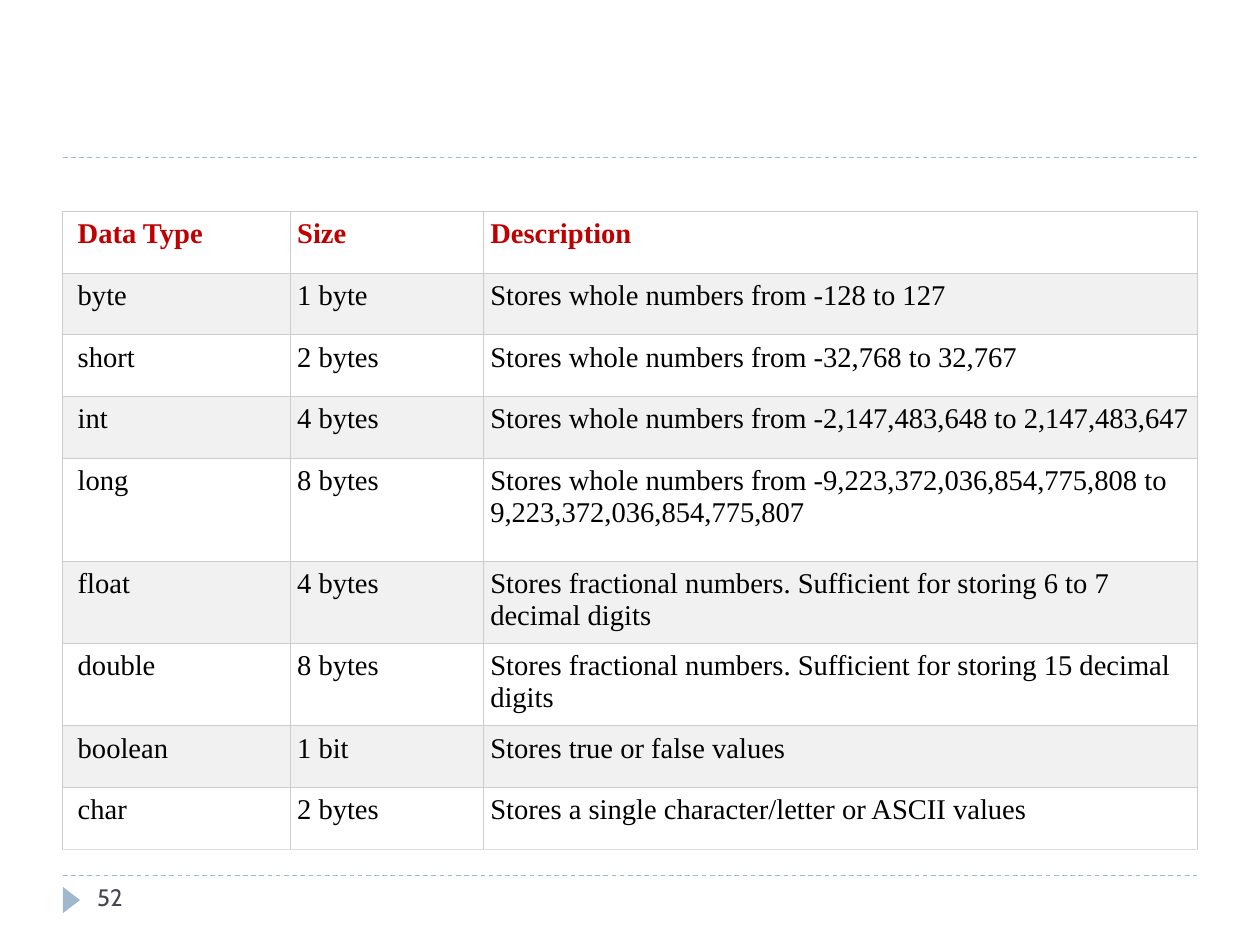
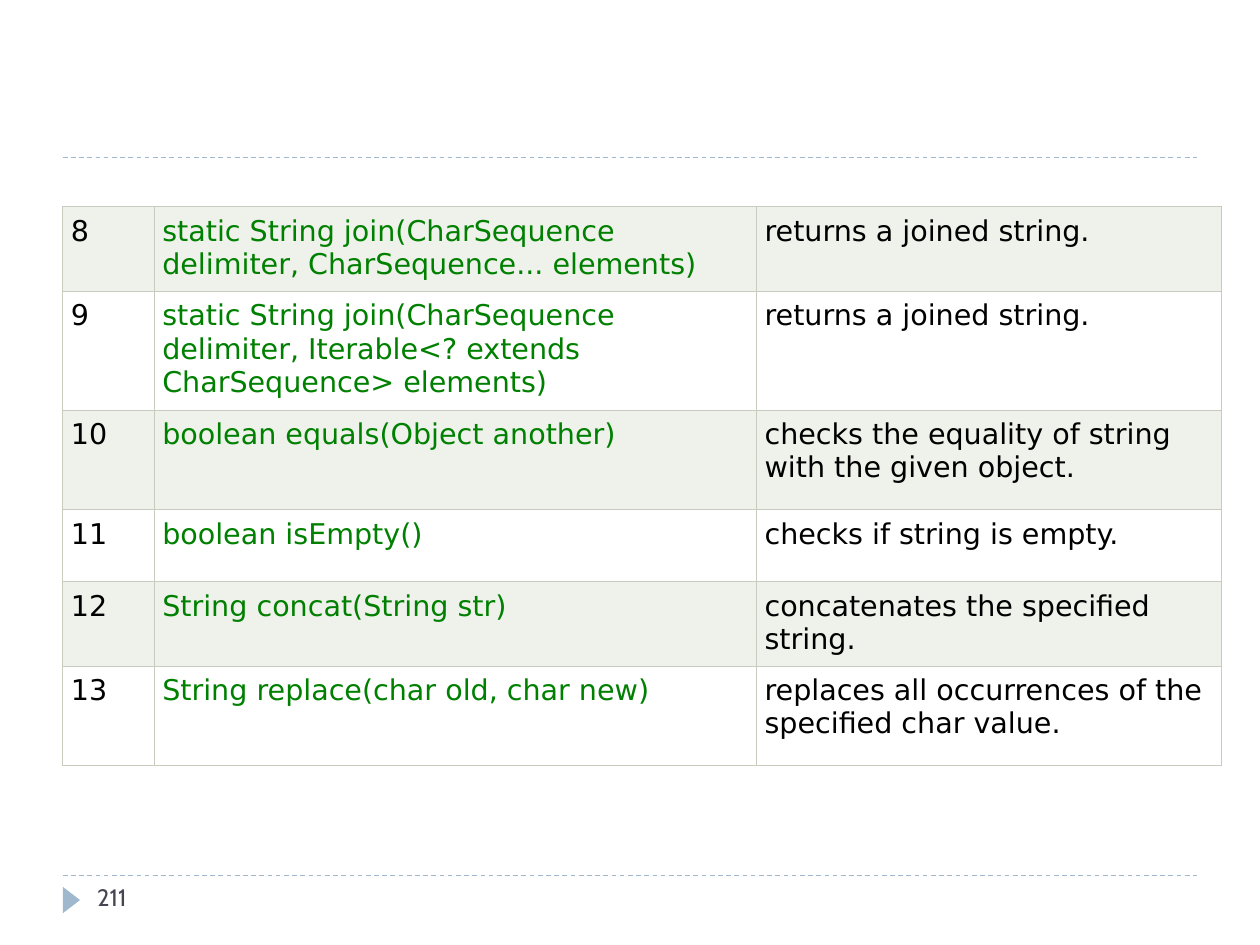
from copy import deepcopy

from lxml import etree
from pptx import Presentation
from pptx.dml.color import RGBColor
from pptx.enum.dml import MSO_LINE
from pptx.enum.shapes import MSO_CONNECTOR, MSO_SHAPE
from pptx.oxml.ns import qn
from pptx.util import Inches, Pt

DASH = MSO_LINE.DASH
STRAIGHT = MSO_CONNECTOR.STRAIGHT
TRIANGLE = MSO_SHAPE.ISOSCELES_TRIANGLE

WHITE = RGBColor(0xFF, 0xFF, 0xFF)
BLACK = RGBColor(0, 0, 0)
BLUE = RGBColor(0x9F, 0xB8, 0xCD)
SLATE = RGBColor(0x46, 0x46, 0x53)
RED = RGBColor(0xC0, 0, 0)
GREEN = RGBColor(0, 0x80, 0)
GREY = RGBColor(0xF1, 0xF1, 0xF1)
SAGE = RGBColor(0xEF, 0xF1, 0xEB)
RULE = RGBColor(0xCC, 0xCC, 0xCC)
PALE = RGBColor(0xDD, 0xDD, 0xDD)
MOSS = RGBColor(0xC7, 0xCC, 0xBE)

# The page is 28 by 21 centimetres.
WIDE = Inches(28 / 2.54)
HIGH = Inches(21 / 2.54)
LEFT, RIGHT = 0.55, 10.47
TOP_RULE, FOOT_RULE = 1.38, 7.66

TYPES = [
    ("Data Type", "Size", "Description"),
    ("byte", "1 byte", "Stores whole numbers from -128 to 127"),
    ("short", "2 bytes", "Stores whole numbers from -32,768 to 32,767"),
    ("int", "4 bytes",
     "Stores whole numbers from -2,147,483,648 to 2,147,483,647"),
    ("long", "8 bytes", "Stores whole numbers from "
     "-9,223,372,036,854,775,808 to 9,223,372,036,854,775,807"),
    ("float", "4 bytes", "Stores fractional numbers. "
     "Sufficient for storing 6 to 7 decimal digits"),
    ("double", "8 bytes", "Stores fractional numbers. "
     "Sufficient for storing 15 decimal digits"),
    ("boolean", "1 bit", "Stores true or false values"),
    ("char", "2 bytes", "Stores a single character/letter or ASCII values"),
]

METHODS = [
    ("8", "static String join(CharSequence delimiter, "
     "CharSequence... elements)", "returns a joined string."),
    ("9", "static String join(CharSequence delimiter, "
     "Iterable<? extends CharSequence> elements)",
     "returns a joined string."),
    ("10", "boolean equals(Object another)",
     "checks the equality of string with the given object."),
    ("11", "boolean isEmpty()", "checks if string is empty."),
    ("12", "String concat(String str)", "concatenates the specified string."),
    ("13", "String replace(char old, char new)",
     "replaces all occurrences of the specified char value."),
]


def set_pads(box, pads):
    """Set the left, top, right and bottom insets of a cell or frame."""
    for side, pad in zip(("left", "top", "right", "bottom"), pads):
        setattr(box, "margin_" + side, Inches(pad))


def write(frame, text, font, size, color, bold=False):
    """Put one run in a frame and give its paragraph end the same format."""
    para = frame.paragraphs[0]
    run = para.add_run()
    run.text = text
    style = {"name": font, "size": Pt(size), "bold": bold}
    for key, value in style.items():
        setattr(run.font, key, value)
    run.font.color.rgb = color
    end = deepcopy(run._r.rPr)
    end.tag = qn("a:endParaRPr")
    para._p.append(end)


def add_rule(slide, y):
    rule = slide.shapes.add_connector(
        STRAIGHT, Inches(LEFT), Inches(y), Inches(RIGHT), Inches(y))
    rule.line.color.rgb = BLUE
    rule.line.width = Pt(0.75)
    rule.line.dash_style = DASH
    etree.SubElement(rule._element.spPr, qn("a:effectLst"))


def add_foot(slide, y, number):
    """Draw the marker and page number below the foot rule at y."""
    mark = slide.shapes.add_shape(
        TRIANGLE, Inches(LEFT - 0.04), Inches(y + 0.14),
        Inches(0.23), Inches(0.15))
    mark.rotation = 90
    mark.shadow.inherit = False
    mark.fill.solid()
    mark.fill.fore_color.rgb = BLUE
    mark.line.fill.background()
    frame = slide.shapes.add_textbox(
        Inches(LEFT + 0.19), Inches(y), Inches(2.39), Inches(0.44)).text_frame
    frame.word_wrap = True
    set_pads(frame, (0.11, 0.06, 0.11, 0.06))
    write(frame, number, "Cabin", 15, SLATE)


def add_page(deck, number):
    slide = deck.slides.add_slide(deck.slide_layouts[6])
    for y in (FOOT_RULE, TOP_RULE):
        add_rule(slide, y)
    add_foot(slide, FOOT_RULE, number)
    return slide


def add_edges(cell, color, base):
    """Outline a cell, with its own colour for the bottom edge."""
    props = cell._tc.get_or_add_tcPr()
    for side in "LRTB":
        edge = etree.SubElement(props, qn("a:ln" + side), w=str(Pt(0.75)))
        fill = etree.SubElement(edge, qn("a:solidFill"))
        tint = base if side == "B" else color
        etree.SubElement(fill, qn("a:srgbClr"), val=str(tint))


def add_grid(slide, box, cols, heights, rows, fills, edge, base, style):
    """Draw a table; style(row, col) gives insets and text format."""
    shape = slide.shapes.add_table(len(rows), len(cols), *map(Inches, box))
    grid = shape.table
    grid.first_row = grid.horz_banding = False
    for col, width in zip(grid.columns, cols):
        col.width = Inches(width)
    for row, height in zip(grid.rows, heights):
        row.height = Inches(height)
    shape.width, shape.height = map(Inches, box[2:])
    for i, texts in enumerate(rows):
        for j, text in enumerate(texts):
            cell = grid.cell(i, j)
            add_edges(cell, edge, base if i == len(rows) - 1 else edge)
            cell.fill.solid()
            cell.fill.fore_color.rgb = fills[i % 2]
            pads, look = style(i, j)
            set_pads(cell, pads)
            write(cell.text_frame, text, **look)


def type_style(row, col):
    head = row == 0
    pads = (0.06 if col else 0.13, 0.06, 0.06, 0.06)
    return pads, {"font": "Times New Roman", "size": 18,
                  "color": RED if head else BLACK, "bold": head}


def method_style(row, col):
    return (0.07,) * 4, {"font": "DejaVu Sans", "size": 18,
                         "color": GREEN if col == 1 else BLACK}


def add_types(deck):
    heights = [0.54] * 4 + [0.9] + [0.54] * 4
    add_grid(add_page(deck, "52"), (LEFT, 1.85, 9.92, 5.79),
             (1.99, 1.69, 6.25), heights, TYPES, (WHITE, GREY),
             RULE, PALE, type_style)


def add_methods(deck):
    heights = (0.74, 0.74, 0.87, 0.63, 0.63, 0.87)
    add_grid(add_page(deck, "211"), (LEFT, 1.81, 10.13, 4.87),
             (0.8, 5.27, 4.07), heights, METHODS, (SAGE, WHITE),
             MOSS, MOSS, method_style)


def main():
    deck = Presentation()
    deck.slide_width = WIDE
    deck.slide_height = HIGH
    add_types(deck)
    add_methods(deck)
    deck.save("out.pptx")


if __name__ == "__main__":
    main()
